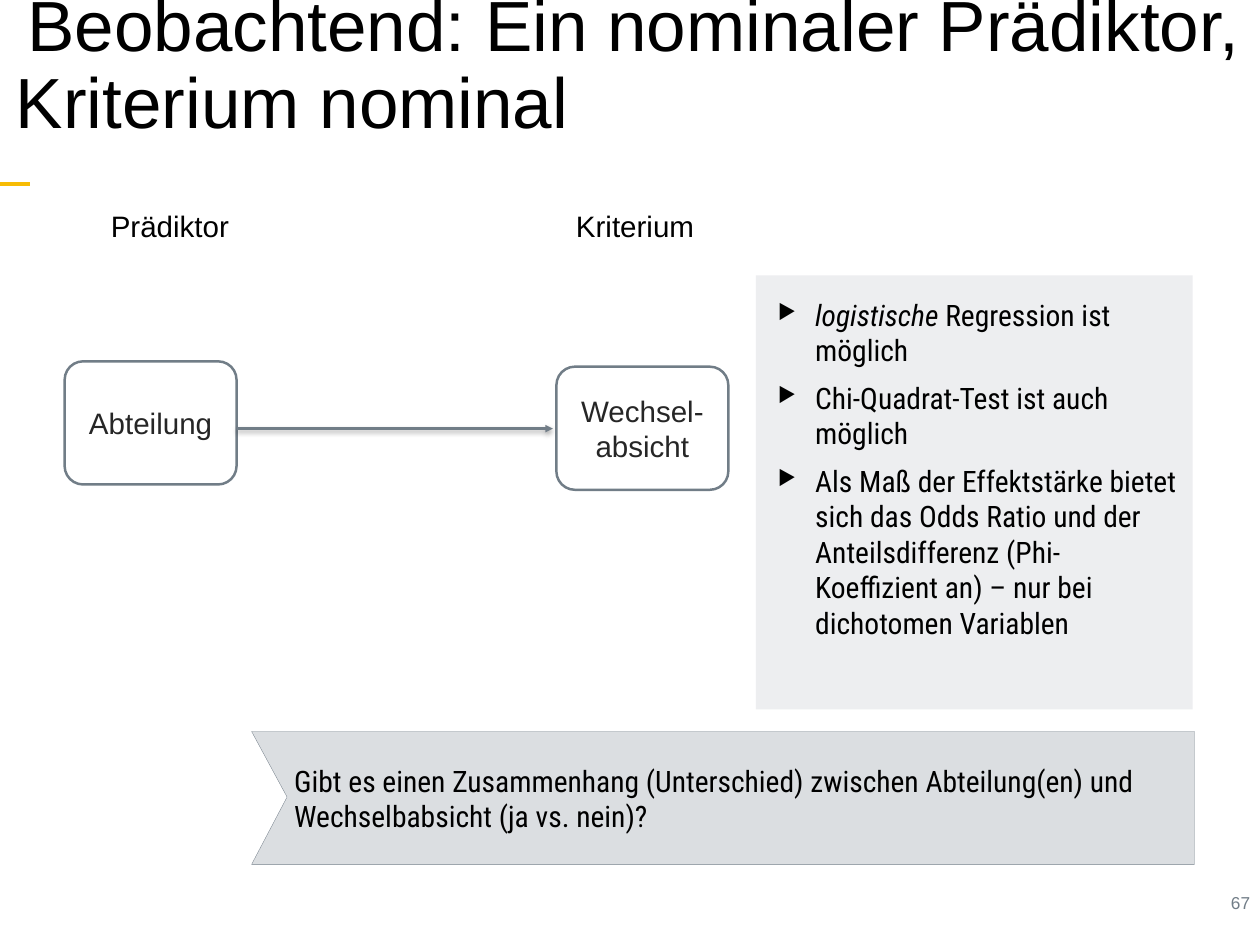
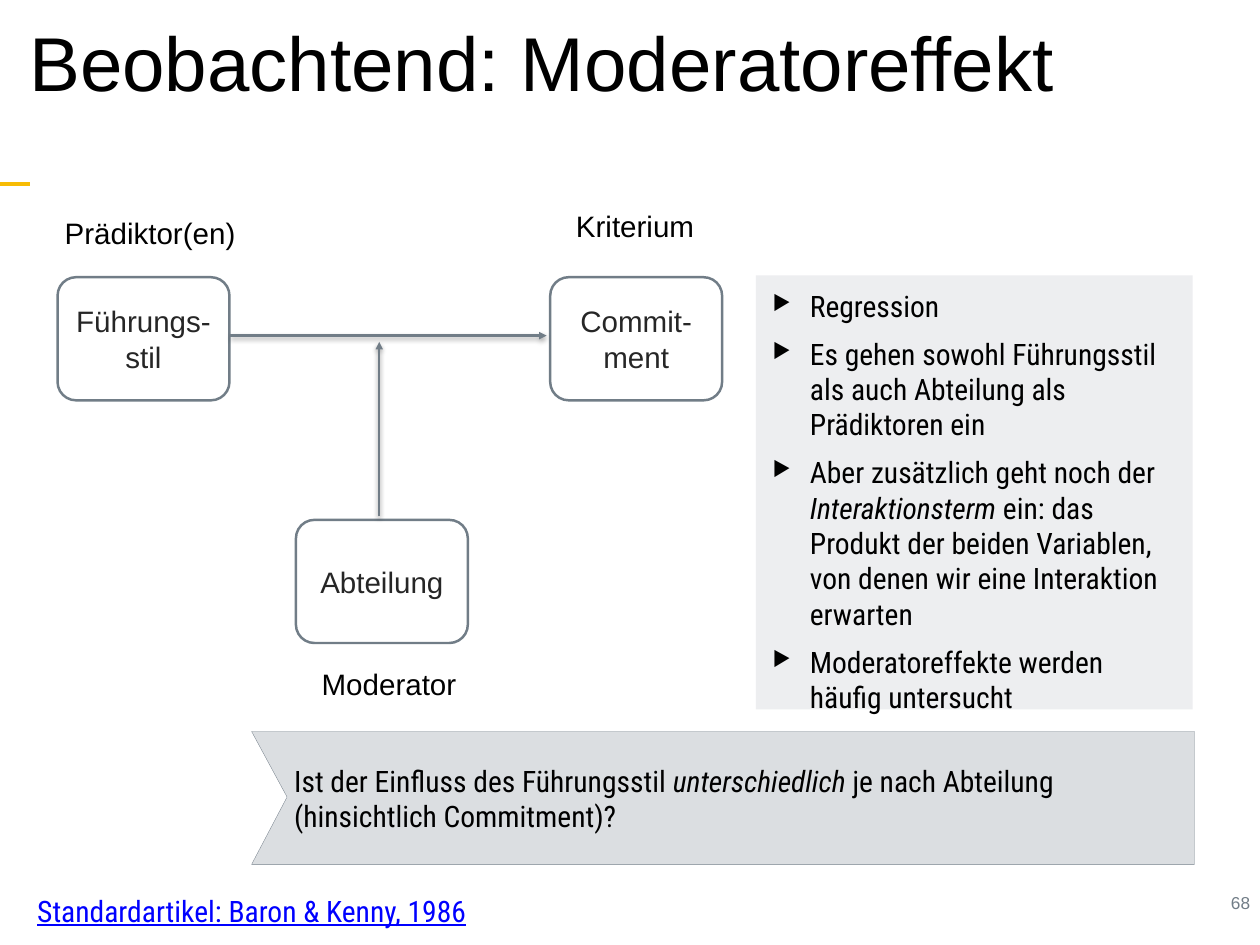
from dataclasses import dataclass

from lxml import etree
from pptx import Presentation
from pptx import util as u
from pptx.dml.color import RGBColor
from pptx.enum import shapes, text
from pptx.oxml.ns import qn

Inches = u.Inches


@dataclass(frozen=True)
class Theme:
    ink: str = "000000"
    box_ink: str = "262626"
    slate: str = "717D87"
    accent: str = "F7BC05"
    panel: str = "EDEEF0"
    banner: str = "DBDEE1"
    white: str = "FFFFFF"
    link: str = "0000FF"
    sans: str = "Arial"
    condensed: str = "Roboto Condensed"
    body_size: float = 24
    number_size: float = 14
    inset: float = 0.07


THEME = Theme()
CENTER, RIGHT = text.PP_ALIGN.CENTER, text.PP_ALIGN.RIGHT
MIDDLE = text.MSO_ANCHOR.MIDDLE


def rgb(code):
    return RGBColor.from_string(code)


def add_xml(parent, tag, **attributes):
    values = {name: str(value) for name, value in attributes.items()}
    return etree.SubElement(parent, qn(tag), values)


def write(frame, *lines, size=THEME.body_size, font=THEME.sans, color=THEME.ink,
          align=text.PP_ALIGN.LEFT, anchor=text.MSO_ANCHOR.TOP, inset=THEME.inset,
          wrap=True, before=0, spacing=1.0, underline=None):
    """Fill a text frame, one paragraph per line; *stars* mark italics."""
    frame.auto_size = text.MSO_AUTO_SIZE.NONE
    frame.word_wrap = wrap
    frame.vertical_anchor = anchor
    frame.margin_left = frame.margin_right = Inches(inset)
    frame.margin_top = frame.margin_bottom = Inches(inset)
    for index, line in enumerate(lines):
        paragraph = frame.add_paragraph() if index else frame.paragraphs[0]
        paragraph.alignment = align
        paragraph.line_spacing = spacing
        paragraph.space_before = u.Pt(before)
        for part_index, part in enumerate(line.split("*")):
            for row_index, row in enumerate(part.split("\n")):
                if row_index:
                    paragraph.add_line_break()
                if row:
                    run = paragraph.add_run()
                    run.text = row
                    run.font.name, run.font.size = font, u.Pt(size)
                    run.font.color.rgb = rgb(color)
                    run.font.italic = part_index % 2 == 1
                    run.font.underline = underline


def indent(paragraph, left, first):
    properties = paragraph._p.get_or_add_pPr()
    properties.set("marL", str(Inches(left)))
    properties.set("indent", str(Inches(first)))
    return properties


class Deck:
    def __init__(self, theme):
        self.theme = theme
        self.presentation = Presentation()
        self.presentation.slide_width = Inches(14.22)
        self.presentation.slide_height = Inches(10.67)
        self.slide = None

    def add_slide(self, title, number, title_size, title_indent):
        layout = self.presentation.slide_layouts[5]
        self.slide = self.presentation.slides.add_slide(layout)
        self.line((0, 2.08), (0.34, 2.08), self.theme.accent, 3)
        self.label(str(number), 11.81, 10, 2.37, 0.36, size=self.theme.number_size,
                   color=self.theme.slate, align=RIGHT)
        heading = self.slide.shapes.title
        heading.left, heading.top = Inches(0), Inches(-0.02)
        heading.width, heading.height = Inches(14.23), Inches(1.55)
        write(heading.text_frame, title, size=title_size, anchor=MIDDLE,
              inset=0.05, spacing=0.9)
        indent(heading.text_frame.paragraphs[0], title_indent, title_indent)

    def label(self, content, left, top, width, height=0.52, **style):
        box = self.slide.shapes.add_textbox(
            Inches(left), Inches(top), Inches(width), Inches(height))
        write(box.text_frame, content, **style)

    def paint(self, shape, fill, line=None, weight=0):
        shape.shadow.inherit = False
        shape.fill.solid()
        shape.fill.fore_color.rgb = rgb(fill)
        if line:
            shape.line.color.rgb = rgb(line)
            shape.line.width = u.Pt(weight)
        else:
            shape.line.fill.background()

    def line(self, start, end, color, weight):
        connector = self.slide.shapes.add_connector(
            shapes.MSO_CONNECTOR.STRAIGHT, *map(Inches, start + end))
        connector.line.color.rgb = rgb(color)
        connector.line.width = u.Pt(weight)
        effects = add_xml(connector._element.spPr, "a:effectLst")
        return connector, effects

    def arrow(self, start, end):
        connector, effects = self.line(start, end, self.theme.slate, 2)
        outline = connector._element.spPr.find(qn("a:ln"))
        add_xml(outline, "a:tailEnd", type="triangle")
        shadow = add_xml(effects, "a:outerShdw", blurRad=u.Pt(4), dist=u.Pt(2),
                         dir=90 * 60000, rotWithShape=0)
        add_xml(add_xml(shadow, "a:srgbClr", val="000000"), "a:alpha", val=38000)

    def variable(self, name, left, top):
        box = self.slide.shapes.add_shape(
            shapes.MSO_SHAPE.ROUNDED_RECTANGLE,
            Inches(left), Inches(top), Inches(1.94), Inches(1.39))
        box.adjustments[0] = 0.15
        self.paint(box, self.theme.white, self.theme.slate, 2)
        write(box.text_frame, name, color=self.theme.box_ink, align=CENTER, anchor=MIDDLE)

    def method_panel(self, left, top, height, *items):
        """Grey panel with a bulleted list at the given place."""
        panel = self.slide.shapes.add_shape(
            shapes.MSO_SHAPE.RECTANGLE,
            Inches(8.53), Inches(3.11), Inches(4.93), Inches(4.9))
        self.paint(panel, self.theme.panel)
        box = self.slide.shapes.add_textbox(
            Inches(left), Inches(top), Inches(4.69), Inches(height))
        write(box.text_frame, *items, font=self.theme.condensed, before=10)
        for paragraph in box.text_frame.paragraphs:
            properties = indent(paragraph, 0.42, -0.42)
            add_xml(add_xml(properties, "a:buClr"), "a:srgbClr", val=self.theme.ink)
            add_xml(properties, "a:buSzPct", val=70000)
            add_xml(properties, "a:buChar", char="▶︎")

    def question(self, content):
        """Notched banner with the research question."""
        left, right, top, bottom = 2.84, 13.48, 8.26, 9.76
        outline = [(right, top), (right, bottom), (left, bottom), (left + 0.4, 9)]
        builder = self.slide.shapes.build_freeform(
            Inches(left), Inches(top), scale=1.0)
        builder.add_line_segments(
            [(Inches(x), Inches(y)) for x, y in outline], close=True)
        self.paint(builder.convert_to_shape(), self.theme.banner, self.theme.slate, 0.25)
        self.label(content, 3.32, 8.43, 10.08, 1.16, font=self.theme.condensed,
                   anchor=MIDDLE, inset=0, before=10)


def add_nominal_slide(deck):
    deck.add_slide("Beobachtend: Ein nominaler Prädiktor, Kriterium nominal",
                   67, 57.7, 0.13)
    deck.question("Gibt es einen Zusammenhang (Unterschied) zwischen Abteilung(en) "
                  "und Wechselbabsicht (ja vs. nein)?")
    deck.method_panel(
        8.71, 3.28, 3.92,
        "*logistische* Regression ist möglich",
        "Chi-Quadrat-Test ist auch möglich",
        "Als Maß der Effektstärke bietet sich das Odds Ratio und der Anteilsdifferenz "
        "(Phi-Koeffizient an) – nur bei dichotomen Variablen")
    deck.variable("Wechsel-\nabsicht", 6.28, 4.14)
    deck.variable("Abteilung", 0.73, 4.08)
    deck.arrow((2.67, 4.84), (6.24, 4.84))
    deck.label("Prädiktor", 1.18, 2.28, 1.49, wrap=False)
    deck.label("Kriterium", 6.43, 2.28, 1.49, wrap=False)


def add_moderator_slide(deck):
    deck.add_slide("Beobachtend: Moderatoreffekt", 68, 62, 0.14)
    deck.question("Ist der Einfluss des Führungsstil *unterschiedlich* je nach "
                  "Abteilung (hinsichtlich Commitment)?")
    deck.method_panel(
        8.65, 3.18, 4.84,
        "Regression",
        "Es gehen sowohl Führungsstil als auch Abteilung als Prädiktoren ein",
        "Aber zusätzlich geht noch der *Interaktionsterm* ein: das Produkt der beiden "
        "Variablen, von denen wir eine Interaktion erwarten",
        "Moderatoreffekte werden häufig untersucht")
    deck.variable("Commit-\nment", 6.21, 3.13)
    deck.variable("Führungs-\nstil", 0.65, 3.13)
    deck.variable("Abteilung", 3.34, 5.87)
    deck.arrow((2.6, 3.79), (6.17, 3.79))
    deck.arrow((4.28, 5.83), (4.28, 3.86))
    deck.label("Standardartikel: Baron & Kenny, 1986", 0.35, 10.01, 4.99, wrap=False,
               font=deck.theme.condensed, color=deck.theme.link, underline=True)
    deck.label("Prädiktor(en)", 0.66, 2.36, 2.08, wrap=False)
    deck.label("Kriterium", 6.43, 2.28, 1.49, wrap=False)
    deck.label("Moderator", 3.56, 7.45, 1.68, wrap=False)


def main():
    deck = Deck(THEME)
    add_nominal_slide(deck)
    add_moderator_slide(deck)
    deck.presentation.save("out.pptx")


if __name__ == "__main__":
    main()
